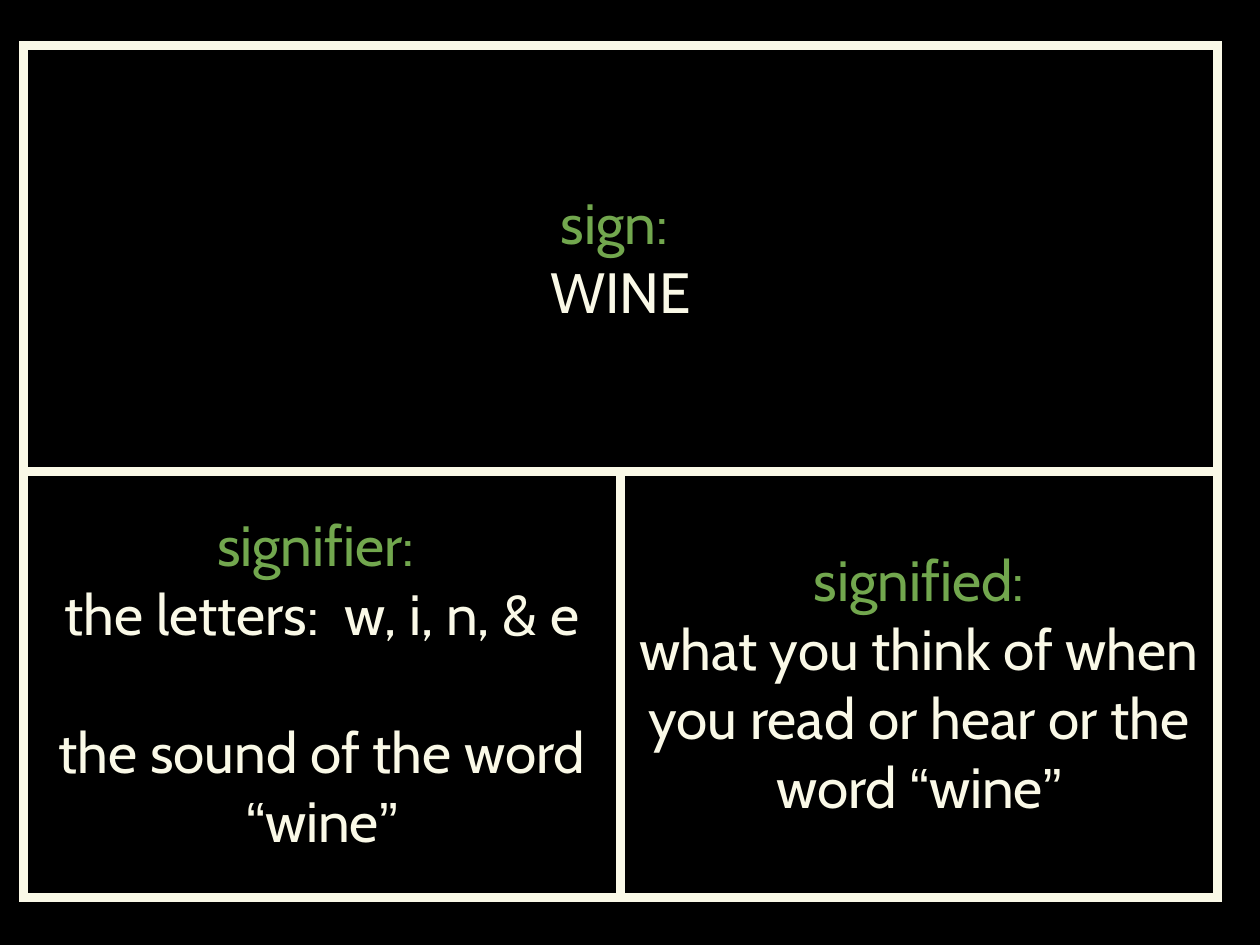
from dataclasses import dataclass

from lxml.etree import SubElement
from pptx import Presentation
from pptx.dml.color import RGBColor
from pptx.enum.text import MSO_ANCHOR as Anchor, PP_ALIGN as Align
from pptx.oxml.ns import qn
from pptx.table import Table, _Cell as Cell
from pptx.text.text import _Paragraph as Paragraph
from pptx.util import Cm, Pt


@dataclass(frozen=True)
class Theme:
    background: RGBColor = RGBColor(0x00, 0x00, 0x00)
    term: RGBColor = RGBColor(0x72, 0xA7, 0x4E)
    meaning: RGBColor = RGBColor(0xFA, 0xF9, 0xE7)
    text_size: Pt = Pt(36)
    line_gap: Pt = Pt(43.8)
    border_width: Pt = Pt(6)
    text_font: str = "Cabin"
    quote_font: str = "Arial"


@dataclass(frozen=True)
class Concept:
    row: int
    column: int
    term: str
    meanings: tuple[str, ...]


THEME = Theme()
CONCEPTS = (
    Concept(0, 0, "sign: ", ("WINE",)),
    Concept(1, 0, "signifier: ",
            ("the letters:  w, i, n, & e", "the sound of the word “wine”")),
    Concept(1, 1, "signified:",
            ("what you think of when you read or hear or the word “wine”",)),
)
CELL_FORMAT = {
    "vertical_anchor": Anchor.MIDDLE,
    "margin_left": Cm(0.1),
    "margin_right": Cm(0.1),
    "margin_top": Cm(0.1),
    "margin_bottom": Cm(0.1),
}


def write_line(paragraph: Paragraph, line: str, color: RGBColor) -> None:
    """Write one centred line, with the curly quotes in their own font."""
    paragraph.alignment = Align.CENTER
    pieces = line.replace("“", "|“|").replace("”", "|”|").split("|")
    for piece in filter(None, pieces):
        run = paragraph.add_run()
        run.text = piece
        run.font.name = THEME.quote_font if piece in "“”" else THEME.text_font
        run.font.size = THEME.text_size
        run.font.color.rgb = color


def draw_borders(cell: Cell) -> None:
    properties = cell._tc.get_or_add_tcPr()
    for side in ("lnL", "lnR", "lnT", "lnB"):
        border = SubElement(properties, qn(f"a:{side}"), w=str(THEME.border_width))
        fill = SubElement(border, qn("a:solidFill"))
        SubElement(fill, qn("a:srgbClr"), val=str(THEME.meaning))


def write_concept(table: Table, concept: Concept) -> None:
    cell = table.cell(concept.row, concept.column)
    for attribute, value in CELL_FORMAT.items():
        setattr(cell, attribute, value)
    frame = cell.text_frame
    write_line(frame.paragraphs[0], concept.term, THEME.term)
    for index, meaning in enumerate(concept.meanings):
        paragraph = frame.add_paragraph()
        if index:
            paragraph.space_before = THEME.line_gap
        write_line(paragraph, meaning, THEME.meaning)


def main() -> None:
    presentation = Presentation()
    presentation.slide_width, presentation.slide_height = Cm(28.22), Cm(21.16)
    slide = presentation.slides.add_slide(presentation.slide_layouts[6])
    slide.background.fill.solid()
    slide.background.fill.fore_color.rgb = THEME.background

    sign_table = slide.shapes.add_table(
        2, 2, Cm(0.53), Cm(1.02), Cm(26.74), Cm(19.08)).table
    sign_table.first_row = sign_table.horz_banding = False
    sign_table.cell(0, 0).merge(sign_table.cell(0, 1))
    for cell in sign_table.iter_cells():
        draw_borders(cell)
        cell.fill.background()
    for concept in CONCEPTS:
        write_concept(sign_table, concept)

    presentation.save("out.pptx")


if __name__ == "__main__":
    main()
